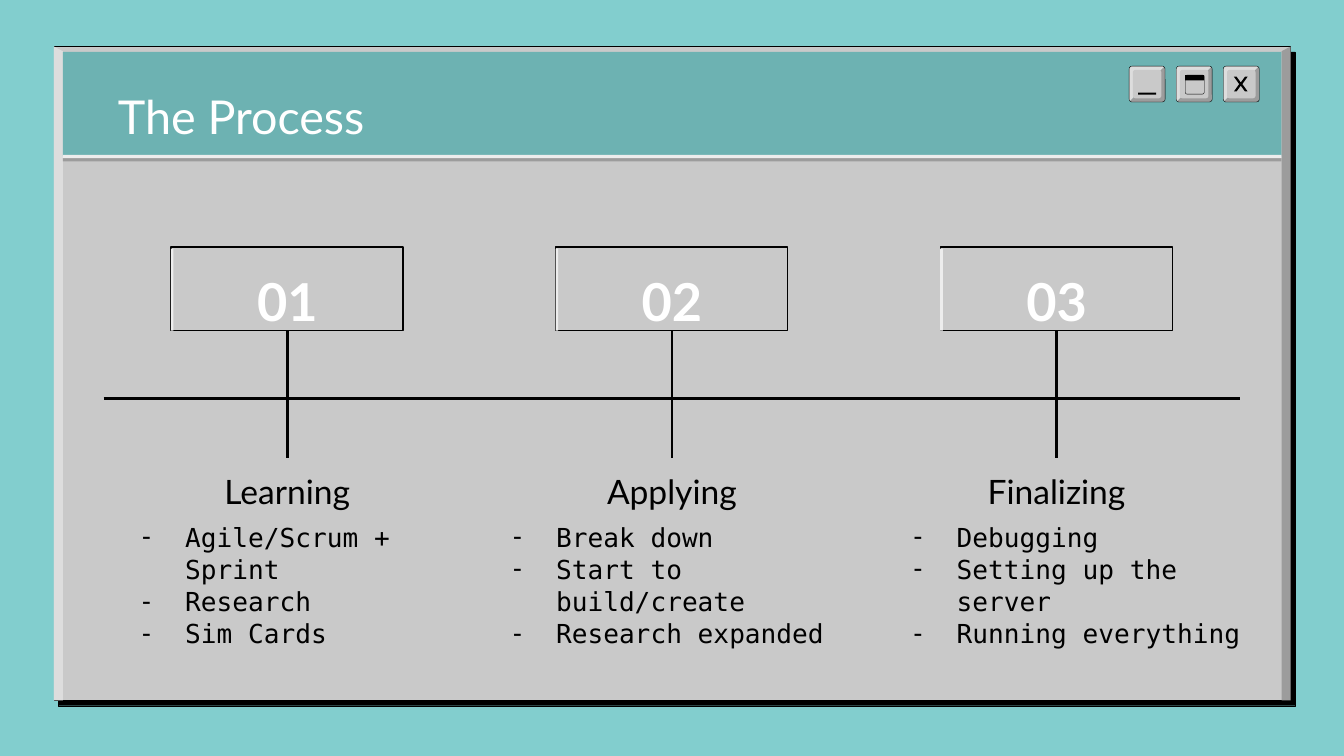
from lxml import etree
from pptx import Presentation
from pptx.dml.color import RGBColor
from pptx.enum.shapes import MSO_CONNECTOR, MSO_SHAPE
from pptx.enum.text import MSO_ANCHOR, PP_ALIGN
from pptx.oxml import parse_xml
from pptx.oxml.ns import qn
from pptx.util import Cm, Pt

RECT, ROUNDED = MSO_SHAPE.RECTANGLE, MSO_SHAPE.ROUNDED_RECTANGLE
STRAIGHT = MSO_CONNECTOR.STRAIGHT
LEFT, CENTER = PP_ALIGN.LEFT, PP_ALIGN.CENTER
TOP, MIDDLE = MSO_ANCHOR.TOP, MSO_ANCHOR.MIDDLE
DRAWING_NS = "http://schemas.openxmlformats.org/drawingml/2006/main"

BLACK, WHITE = "000000", "FFFFFF"
PANEL, SHADE, LIGHT, GLEAM = "C9C9C9", "9C9C9C", "DDDDDD", "EDEDED"
HEADING_FONT, BODY_FONT = "Lato", "DejaVu Sans Mono"


def rgb(value):
    return RGBColor.from_string(value)


class RetroSlide:
    def __init__(self, slide, background):
        self.slide = slide
        self.shapes = slide.shapes
        slide.background.fill.solid()
        slide.background.fill.fore_color.rgb = rgb(background)

    def style(self, shape, fill, line, weight):
        shape.shadow.inherit = False
        if fill:
            shape.fill.solid()
            shape.fill.fore_color.rgb = rgb(fill)
        else:
            shape.fill.background()
        if line:
            shape.line.color.rgb = rgb(line)
            shape.line.width = Pt(weight)
        else:
            shape.line.fill.background()
        return shape

    def box(self, x, y, w, h, fill=None, line=None, weight=0.75, radius=None):
        kind = ROUNDED if radius else RECT
        shape = self.shapes.add_shape(kind, Cm(x), Cm(y), Cm(w), Cm(h))
        if radius:
            shape.adjustments[0] = radius
        return self.style(shape, fill, line, weight)

    def polygon(self, x, y, points, fill):
        corners = [(Cm(x + dx), Cm(y + dy)) for dx, dy in points]
        builder = self.shapes.build_freeform(*corners[0])
        builder.add_line_segments(corners[1:], close=True)
        return self.style(builder.convert_to_shape(), fill, None, 0)

    def hard_shadow(self, shape, distance, angle):
        effects = shape._element.spPr.find(qn("a:effectLst"))
        effects.append(parse_xml(
            f'<a:outerShdw xmlns:a="{DRAWING_NS}" blurRad="0" dist="{Pt(distance)}" '
            f'dir="{angle * 60000}" algn="bl" rotWithShape="0">'
            f'<a:srgbClr val="{BLACK}"/></a:outerShdw>'))

    def line(self, x1, y1, x2, y2):
        rule = self.shapes.add_connector(STRAIGHT, Cm(x1), Cm(y1), Cm(x2), Cm(y2))
        rule.line.color.rgb = rgb(BLACK)
        rule.line.width = Pt(1.5)
        etree.SubElement(rule._element.spPr, qn("a:effectLst"))

    def text(self, x, y, w, h, lines, size, color=BLACK, font=HEADING_FONT,
             align=LEFT, anchor=TOP, bold=False, bullet=None):
        frame = self.shapes.add_textbox(Cm(x), Cm(y), Cm(w), Cm(h)).text_frame
        frame.word_wrap = True
        frame.vertical_anchor = anchor
        frame.margin_left = frame.margin_right = Cm(0.25)
        frame.margin_top = frame.margin_bottom = Cm(0.25)
        for index, words in enumerate(lines):
            paragraph = frame.add_paragraph() if index else frame.paragraphs[0]
            paragraph.alignment = align
            if bullet:
                self.bullet(paragraph, bullet)
            run = paragraph.add_run()
            run.text = words
            run.font.size = Pt(size)
            run.font.name = font
            run.font.bold = bold
            run.font.color.rgb = rgb(color)

    def bullet(self, paragraph, mark):
        paragraph.line_spacing = 1.03
        properties = paragraph._p.get_or_add_pPr()
        properties.set("marL", str(Cm(1.27)))
        properties.set("indent", str(-Cm(0.88)))
        color = etree.SubElement(properties, qn("a:buClr"))
        etree.SubElement(color, qn("a:srgbClr"), val=BLACK)
        etree.SubElement(properties, qn("a:buFont"), typeface=BODY_FONT)
        etree.SubElement(properties, qn("a:buChar"), char=mark)

    def window(self):
        x, y, w, h, edge = 1.02, 0.88, 23.37, 12.36, 0.17
        frame = self.box(x, y, w, h, PANEL, BLACK, 0.25)
        self.hard_shadow(frame, 3.8, 50)
        self.polygon(x, y, [(0, 0), (0, h), (edge, h), (edge, 0.09)], LIGHT)
        self.polygon(x + w, y, [(0, 0), (-edge, 0.09), (-edge, h), (0, h)], SHADE)
        inner_x, inner_w = x + edge, w - 2 * edge
        self.box(inner_x, 0.98, inner_w, 1.98, "6DB2B2")
        self.box(inner_x, 2.99, inner_w, 0.06, SHADE)
        self.box(inner_x, 2.93, inner_w, 0.06, GLEAM)

    def button(self, x, y):
        size, cut = 0.68, 0.04
        corner = [(cut, 0), (0, cut), (0, size - cut), (0.02, size - 0.02),
                  (size - 0.02, 0.02), (size - cut, 0)]
        self.polygon(x, y, corner, LIGHT)
        self.polygon(x, y, [(size - dx, size - dy) for dx, dy in corner], SHADE)
        self.box(x, y, size, size, None, BLACK, 0.21, radius=0.08)
        self.box(x + 0.07, y + 0.07, 0.54, 0.54, PANEL, radius=0.1)

    def step(self, center, number, heading, tasks, list_x, list_w):
        self.box(center - 2.2, 4.67, 4.39, 1.58, PANEL, BLACK)
        self.box(center - 2.2, 4.7, 0.05, 1.55, GLEAM)
        self.text(center - 3.45, 8.66, 6.9, 1.12, [heading], 18, align=CENTER)
        self.text(list_x, 9.58, list_w, 1.78, tasks, 14, font=BODY_FONT, bullet="-")
        self.text(center - 2.08, 5.08, 4.16, 1.2, [number], 28, WHITE,
                  align=CENTER, anchor=MIDDLE, bold=True)
        self.line(center, 6.25, center, 8.66)


def main():
    presentation = Presentation()
    presentation.slide_width, presentation.slide_height = Cm(25.4), Cm(14.29)
    page = RetroSlide(presentation.slides.add_slide(presentation.slide_layouts[6]), "82CECE")

    page.window()
    page.text(1.98, 1.42, 21.44, 1.42, ["The Process"], 25, WHITE)
    page.line(1.96, 7.54, 23.44, 7.54)

    steps = [
        ("Learning", ["Agile/Scrum + Sprint", "Research", "Sim Cards"], 1.98, 6.88),
        ("Applying", ["Break down", "Start to build/create", "Research expanded"], 8.99, 7.54),
        ("Finalizing", ["Debugging", "Setting up the server", "Running everything"], 16.56, 7.67),
    ]
    for index, details in enumerate(steps):
        page.step(5.43 + 7.27 * index, f"{index + 1:02}", *details)

    button_y = 1.25
    minimize_x, maximize_x, close_x = (21.34 + 0.89 * index for index in range(3))
    for button_x in (minimize_x, maximize_x, close_x):
        page.button(button_x, button_y)
    page.box(minimize_x + 0.17, button_y + 0.5, 0.34, 0.04, BLACK)
    page.box(maximize_x + 0.17, button_y + 0.17, 0.36, 0.36, None, BLACK, 0.21, radius=0.1)
    page.box(maximize_x + 0.17, button_y + 0.17, 0.36, 0.1, BLACK)
    cross = [(0.41, 0.2), (0.33, 0.31), (0.25, 0.2), (0.2, 0.2), (0.3, 0.34), (0.2, 0.48),
             (0.25, 0.48), (0.33, 0.37), (0.41, 0.48), (0.46, 0.48), (0.36, 0.34), (0.46, 0.2)]
    page.polygon(close_x, button_y, cross, BLACK)

    presentation.save("out.pptx")


if __name__ == "__main__":
    main()
